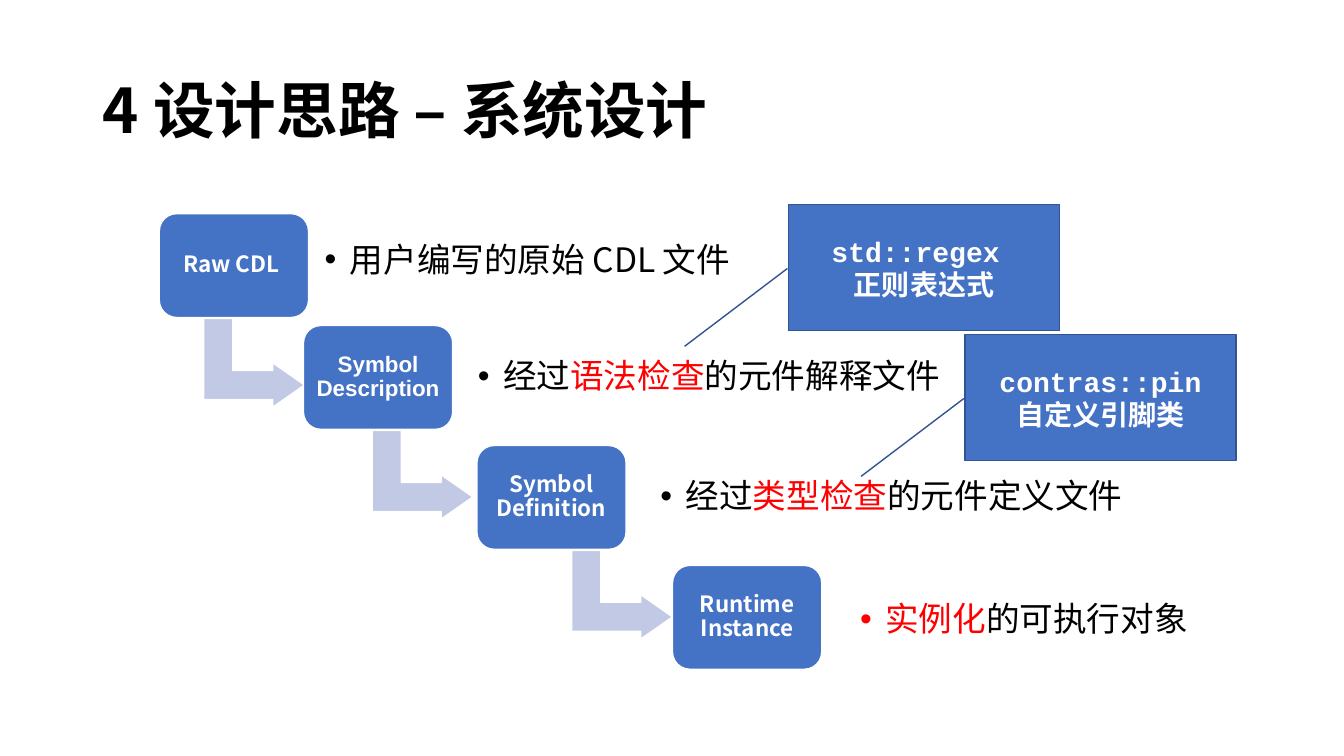
from dataclasses import dataclass
from typing import Optional

from lxml import etree
from pptx import Presentation
from pptx.dml.color import RGBColor
from pptx.enum.shapes import MSO_SHAPE
from pptx.enum.text import MSO_ANCHOR, MSO_AUTO_SIZE, PP_ALIGN
from pptx.oxml.ns import qn
from pptx.util import Inches, Pt

ROUNDED = MSO_SHAPE.ROUNDED_RECTANGLE
BENT_ARROW = MSO_SHAPE.BENT_UP_ARROW
CALLOUT = MSO_SHAPE.LINE_CALLOUT_1
MIDDLE = MSO_ANCHOR.MIDDLE
CENTER, LEFT = PP_ALIGN.CENTER, PP_ALIGN.LEFT
NO_AUTOFIT = MSO_AUTO_SIZE.NONE

SANS, ARIAL, MONO = "Noto Sans CJK SC", "Arial", "Courier New"
BLACK, WHITE, RED = "000000", "FFFFFF", "FF0000"
BLUE, DARK_BLUE, PALE_BLUE = "4472C4", "325491", "C1C9E4"
COMPARISON_LAYOUT = 4  # a title and four body placeholders


@dataclass
class Step:
    label: str
    left: float
    top: float
    note_box: tuple[float, float, float, float]
    note: list[tuple[str, str]]
    arrow_left: Optional[float] = None
    font: str = SANS


@dataclass
class Callout:
    left: float
    top: float
    code: str
    meaning: str


STEPS = [
    Step("Raw CDL ", 1.58, 2.12, (3.12, 2.17, 5.36, 0.84),
         [("用户编写的原始 CDL 文件", BLACK)], 2.08),
    Step("Symbol Description", 3.01, 3.23, (4.64, 3.33, 5.12, 0.84),
         [("经过", BLACK), ("语法检查", RED), ("的元件解释文件", BLACK)], 3.75, ARIAL),
    Step("Symbol Definition", 4.73, 4.42, (6.45, 4.52, 4.81, 0.84),
         [("经过", BLACK), ("类型检查", RED), ("的元件定义文件", BLACK)], 5.73),
    Step("Runtime Instance", 6.67, 5.61, (8.43, 5.74, 3.53, 0.84),
         [("实例化", RED), ("的可执行对象", BLACK)]),
]
CALLOUTS = [
    Callout(7.82, 2.03, "std::regex ", "正则表达式"),
    Callout(9.57, 3.32, "contras::pin", "自定义引脚类"),
]


def color(value: str) -> RGBColor:
    return RGBColor.from_string(value)


def place(shape, left: float, top: float, width: float, height: float) -> None:
    shape.left, shape.top = Inches(left), Inches(top)
    shape.width, shape.height = Inches(width), Inches(height)


def add_run(paragraph, text: str, size: float, fill: str, font: str = SANS,
            bold: bool = False) -> None:
    run = paragraph.add_run()
    run.text = text
    run.font.size, run.font.bold, run.font.name = Pt(size), bold, font
    run.font.color.rgb = color(fill)
    east_asian = etree.SubElement(run.font._element, qn("a:ea"))
    east_asian.set("typeface", font)


def format_frame(frame, side: float, vertical: float) -> None:
    frame.word_wrap = True
    frame.auto_size = NO_AUTOFIT
    frame.vertical_anchor = MIDDLE
    frame.margin_left = frame.margin_right = Inches(side)
    frame.margin_top = frame.margin_bottom = Inches(vertical)


def format_paragraph(paragraph, alignment, spacing: float = 1.0) -> None:
    paragraph.alignment = alignment
    paragraph.line_spacing = spacing
    paragraph.space_before = paragraph.space_after = Pt(0)


def add_bullet(paragraph) -> None:
    properties = paragraph._p.get_or_add_pPr()
    properties.set("marL", str(Inches(0.25)))
    properties.set("indent", str(-Inches(0.25)))
    etree.SubElement(properties, qn("a:buFont")).set("typeface", ARIAL)
    etree.SubElement(properties, qn("a:buChar")).set("char", "•")


def add_shape(slide, kind, left: float, top: float, width: float, height: float,
              fill: str, line: str, adjustments: tuple[float, ...]):
    shape = slide.shapes.add_shape(
        kind, Inches(left), Inches(top), Inches(width), Inches(height))
    shape.shadow.inherit = False
    shape.fill.solid()
    shape.fill.fore_color.rgb = color(fill)
    shape.line.color.rgb = color(line)
    shape.line.width = Pt(1)
    for index, value in enumerate(adjustments):
        shape.adjustments[index] = value
    return shape


def add_title(slide, text: str) -> None:
    title = slide.shapes.title
    place(title, 0.92, 0.4, 11.5, 1.45)
    format_frame(title.text_frame, 0.1, 0.05)
    paragraph = title.text_frame.paragraphs[0]
    format_paragraph(paragraph, LEFT, 0.9)
    add_run(paragraph, text, 44, BLACK, bold=True)


def add_step(slide, step: Step, note) -> None:
    # Arrow down to the next step
    if step.arrow_left is not None:
        arrow = add_shape(slide, BENT_ARROW, step.arrow_left, step.top + 0.98,
                          0.88, 1, PALE_BLUE, WHITE, (0.328, 0.25, 0.358))
        arrow.rotation = 90

    # Labelled box
    box = add_shape(slide, ROUNDED, step.left, step.top, 1.48, 1.03,
                    BLUE, WHITE, (0.167,))
    format_frame(box.text_frame, 0.07, 0.07)
    paragraph = box.text_frame.paragraphs[0]
    format_paragraph(paragraph, CENTER, 0.9)
    add_run(paragraph, step.label, 16, WHITE, step.font, True)

    # Bulleted note beside the box
    place(note, *step.note_box)
    format_frame(note.text_frame, 0.1, 0.1)
    paragraph = note.text_frame.paragraphs[0]
    format_paragraph(paragraph, LEFT, 0.9)
    add_bullet(paragraph)
    for text, fill in step.note:
        add_run(paragraph, text, 24, fill)


def add_callout(slide, callout: Callout) -> None:
    shape = add_shape(slide, CALLOUT, callout.left, callout.top, 2.69, 1.25,
                      BLUE, DARK_BLUE, (0.507, -0.004, 1.125, -0.383))
    frame = shape.text_frame
    format_frame(frame, 0.1, 0.05)
    lines = [(frame.paragraphs[0], callout.code, MONO),
             (frame.add_paragraph(), callout.meaning, SANS)]
    for paragraph, text, font in lines:
        format_paragraph(paragraph, CENTER)
        add_run(paragraph, text, 20, WHITE, font, True)


def main() -> None:
    presentation = Presentation()
    presentation.slide_width = Inches(13.33)
    presentation.slide_height = Inches(7.5)
    slide = presentation.slides.add_slide(presentation.slide_layouts[COMPARISON_LAYOUT])

    add_title(slide, "4 设计思路 – 系统设计")
    notes = list(slide.placeholders)[1:]
    for step, note in zip(STEPS, notes):
        add_step(slide, step, note)
    for callout in CALLOUTS:
        add_callout(slide, callout)

    presentation.save("out.pptx")


if __name__ == "__main__":
    main()
